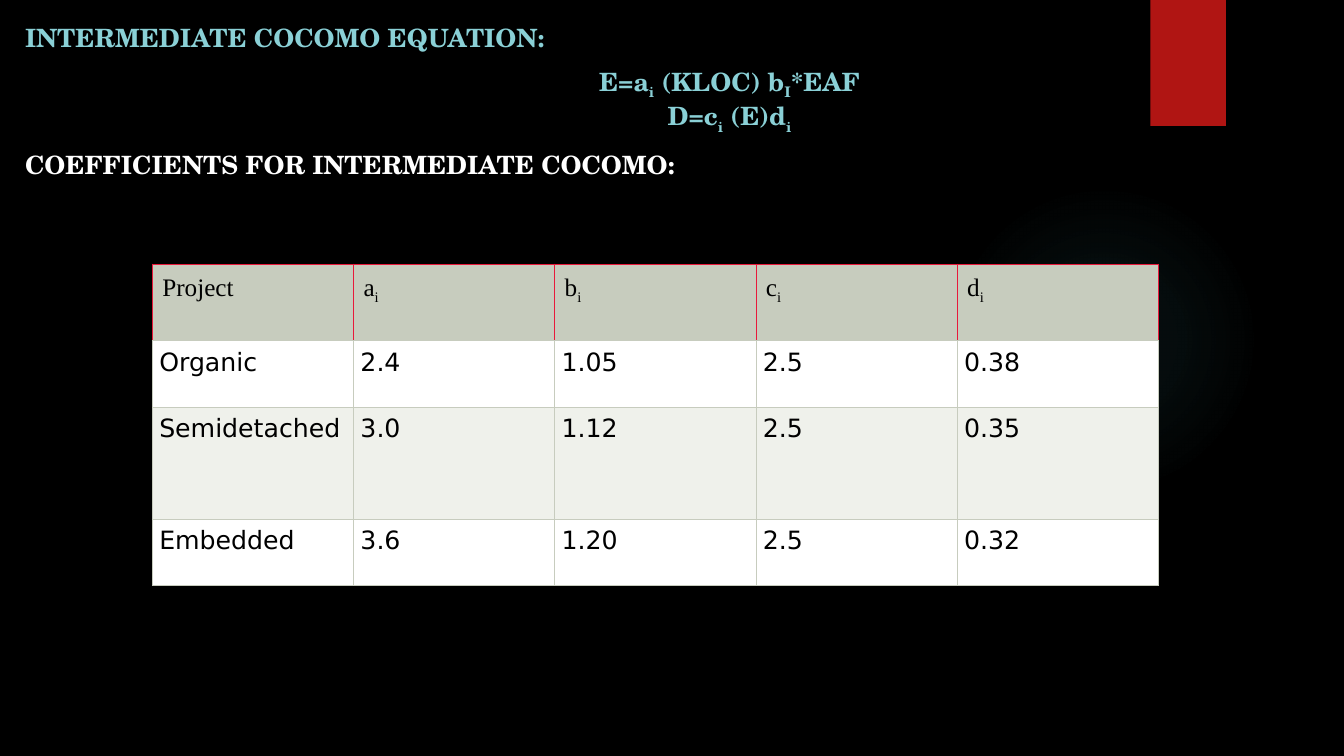
from lxml.etree import SubElement as Sub
from pptx import Presentation
from pptx.dml.color import RGBColor
from pptx.enum.shapes import MSO_SHAPE as Preset
from pptx.enum.text import PP_ALIGN as Align
from pptx.oxml import parse_xml
from pptx.oxml.ns import nsdecls, qn
from pptx.util import Inches, Pt

COLORS = {
    "black": "000000", "white": "FFFFFF", "aqua": "8AD0D6", "glow": "50B9C1",
    "ribbon": "B01513", "sage": "C7CCBE", "pale": "EFF1EB", "red": "E8193B",
}
HEADING_FONT, HEADER_FONT, BODY_FONT = "TeX Gyre Schola", "Times New Roman", "DejaVu Sans"


def rgb(name):
    return RGBColor.from_string(COLORS[name])


class SlideBuilder:
    """Holds the text size and the current slide."""

    def __init__(self, slide, size=18):
        self.slide, self.size = slide, Pt(size)

    def background(self, color):
        fill = self.slide.background.fill
        fill.solid()
        fill.fore_color.rgb = rgb(color)

    def shape(self, preset, left, top, width, height, color):
        shape = self.slide.shapes.add_shape(
            preset, Inches(left), Inches(top), Inches(width), Inches(height))
        shape.shadow.inherit = False
        shape.line.fill.background()
        shape.fill.solid()
        shape.fill.fore_color.rgb = rgb(color)
        return shape

    def glow(self, left, top, size, color, stops):
        """Draw a circle that fades out; stops are (position %, opacity %)."""
        circle = self.shape(Preset.OVAL, left, top, size, size, color)
        gradient = parse_xml(f'<a:gradFill {nsdecls("a")}><a:gsLst/><a:path path="circle">'
                             '<a:fillToRect l="50000" t="50000" r="50000" b="50000"/>'
                             '</a:path></a:gradFill>')
        for position, opacity in stops:
            stop = Sub(gradient[0], qn("a:gs"), pos=str(position * 1000))
            tint = Sub(stop, qn("a:srgbClr"), val=COLORS[color])
            Sub(tint, qn("a:alpha"), val=str(opacity * 1000))
        solid = circle._element.spPr.find(qn("a:solidFill"))
        solid.getparent().replace(solid, gradient)

    def runs(self, paragraph, parts, font, color, bold=False):
        """Add runs; every second part is a subscript."""
        for index, part in enumerate(parts):
            run = paragraph.add_run()
            run.text = part
            run.font.name, run.font.size, run.font.bold = font, self.size, bold
            run.font.color.rgb = rgb(color)
            if index % 2:
                run._r.get_or_add_rPr().set("baseline", "-25000")

    def text_frame(self, left, top, width, height):
        box = self.slide.shapes.add_textbox(
            Inches(left), Inches(top), Inches(width), Inches(height))
        box.text_frame.word_wrap = True
        return box.text_frame

    def paragraph(self, frame, lines, color, align=Align.LEFT, indent=0):
        first = frame.paragraphs[0]
        paragraph = frame.add_paragraph() if first.runs else first
        paragraph.alignment, paragraph.space_before = align, Pt(10)
        if indent:
            paragraph._p.get_or_add_pPr().set("marL", str(Inches(indent)))
        for index, parts in enumerate(lines):
            if index:
                paragraph.add_line_break()
            self.runs(paragraph, parts, HEADING_FONT, color, bold=True)

    def cell(self, cell, parts, font, fill, inset, edges):
        """Fill one cell; edges are the colours of left, right, top, bottom."""
        cell.margin_left = cell.margin_right = Inches(inset)
        cell.margin_top = cell.margin_bottom = Inches(inset)
        cell.fill.solid()
        cell.fill.fore_color.rgb = rgb(fill)
        self.runs(cell.text_frame.paragraphs[0], parts, font, "black")
        props = cell._tc.get_or_add_tcPr()
        for index, (side, color) in enumerate(zip("LRTB", edges)):
            props.insert(index, parse_xml(
                f'<a:ln{side} {nsdecls("a")} w="{Pt(0.6)}"><a:solidFill>'
                f'<a:srgbClr val="{COLORS[color]}"/></a:solidFill></a:ln{side}>'))

    def table(self, left, top, width, heights, header, body):
        table = self.slide.shapes.add_table(
            len(heights), len(header), Inches(left), Inches(top),
            Inches(width), Inches(sum(heights))).table
        table.first_row = table.horz_banding = False
        for row, height in zip(table.rows, heights):
            row.height = Inches(height)
        for column, parts in enumerate(header):
            self.cell(table.cell(0, column), parts, HEADER_FONT, "sage", 0.1,
                      ["red", "red", "red", "sage"])
        for row, values in enumerate(body, start=1):
            fill = "white" if row % 2 else "pale"
            for column, value in enumerate(values):
                self.cell(table.cell(row, column), [value], BODY_FONT, fill, 0.07,
                          ["sage"] * 4)


def main():
    deck = Presentation()
    deck.slide_width, deck.slide_height = Inches(13.33), Inches(7.5)
    page = SlideBuilder(deck.slides.add_slide(deck.slide_layouts[6]))

    # Backdrop
    page.background("black")
    page.glow(9.41, 1.83, 3.08, "glow", [(0, 7), (36, 6), (69, 0)])
    page.shape(Preset.RECTANGLE, 11.41, 0, 0.75, 1.25, "ribbon")

    # Headings and equations
    equations = [["E=a", "i", " (KLOC) b", "I", "*EAF"], ["D=c", "i", " (E)d", "i"]]
    content = page.text_frame(0.15, 0.17, 12.95, 7.21)
    page.paragraph(content, [["INTERMEDIATE COCOMO EQUATION:"]], "aqua")
    page.paragraph(content, equations, "aqua", Align.CENTER, indent=1.22)
    page.paragraph(content, [["COEFFICIENTS FOR INTERMEDIATE COCOMO:"]], "white",
                   Align.JUSTIFY)

    # Coefficient table
    header = [["Project"]] + [[letter, "i"] for letter in "abcd"]
    coefficients = [
        ["Organic", "2.4", "1.05", "2.5", "0.38"],
        ["Semidetached", "3.0", "1.12", "2.5", "0.35"],
        ["Embedded", "3.6", "1.20", "2.5", "0.32"],
    ]
    page.table(1.51, 2.62, 9.98, [0.76, 0.66, 1.11, 0.66], header, coefficients)

    deck.save("out.pptx")


if __name__ == "__main__":
    main()
